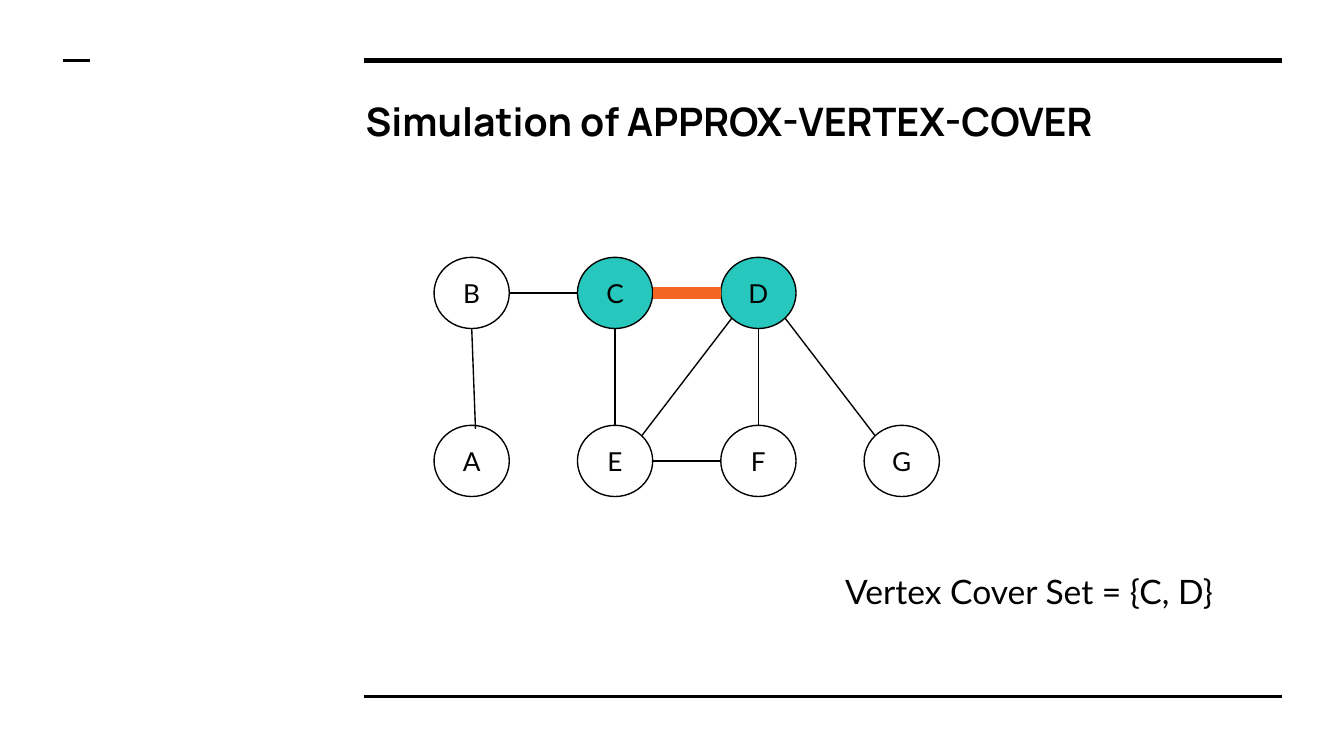
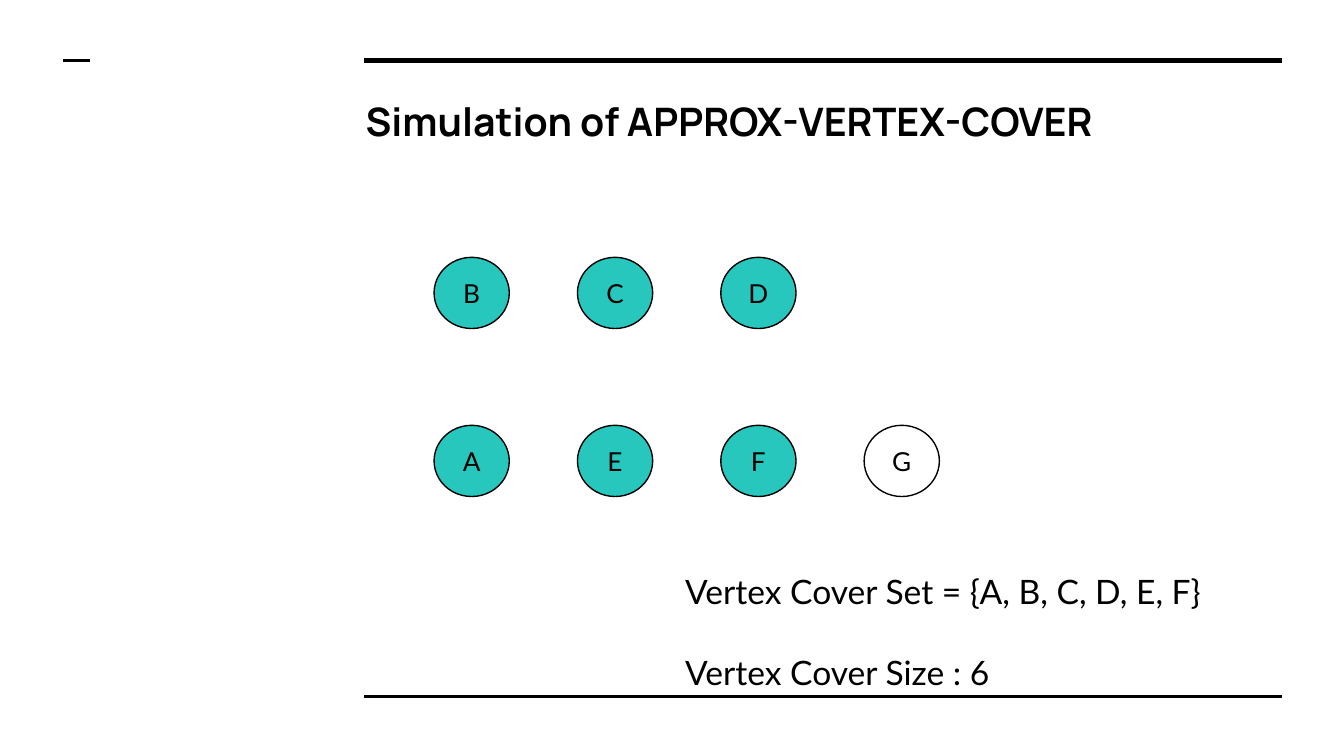
from lxml.etree import SubElement
from pptx import Presentation
from pptx.dml.color import RGBColor
from pptx.enum.shapes import MSO_CONNECTOR, MSO_SHAPE
from pptx.enum.text import MSO_ANCHOR as Anchor, MSO_AUTO_SIZE as AutoSize, PP_ALIGN as Align
from pptx.oxml.ns import qn
from pptx.util import Inches, Pt

BLACK, WHITE, TEAL, ORANGE = "000000", "FFFFFF", "27C7BD", "F46524"
NODE_WIDTH, NODE_HEIGHT = 0.56, 0.53
TITLE = "Simulation of APPROX-VERTEX-COVER"

# Left, top, right, and weight of the rules on every slide
RULES = [(2.71, 0.45, 9.54, 3), (2.71, 5.18, 9.54, 1.5), (0.47, 0.45, 0.67, 1.5)]

# Centre of each node: four columns across 3.2 inches, two rows
CENTRES = {}
for row, letters in enumerate(["BCD", "AEFG"]):
    for column, letter in enumerate(letters):
        CENTRES[letter] = (3.51 + column * 3.2 / 3, 2.18 + row * 1.25)

# Points on a node, in half widths and half heights from its centre
TOP, BOTTOM, LEFT, RIGHT = (0, -1), (0, 1), (-1, 0), (1, 0)
TOP_LEFT, TOP_RIGHT = (-0.71, -0.71), (0.71, -0.71)
BOTTOM_LEFT, BOTTOM_RIGHT = (-0.71, 0.71), (0.71, 0.71)
INSIDE_TOP = (0.1, -0.9)

EDGES = [
    ("A", INSIDE_TOP, "B", BOTTOM, BLACK, 0.75),
    ("C", RIGHT, "D", LEFT, ORANGE, 6),
    ("C", BOTTOM, "E", TOP, BLACK, 0.75),
    ("E", RIGHT, "F", LEFT, BLACK, 0.75),
    ("E", TOP_RIGHT, "D", BOTTOM_LEFT, BLACK, 0.75),
    ("D", BOTTOM_RIGHT, "G", TOP_LEFT, BLACK, 0.75),
    ("F", TOP, "D", BOTTOM, BLACK, 0.75),
    ("B", RIGHT, "C", LEFT, BLACK, 0.75),
]

# Covered nodes, edges, and captions (left, top, width, text) of each slide
STEPS = [
    ("CD", EDGES, [(6.19, 4.15, 3.81, "Vertex Cover Set = {C, D}")]),
    ("ABCDEF", [], [
        (5, 4.75, 3, "Vertex Cover Size : 6"),
        (5, 4.15, 5.14, "Vertex Cover Set = {A, B, C, D, E, F}"),
    ]),
]


def add_line(page, start, end, color, weight):
    points = [Inches(value) for value in (*start, *end)]
    line = page.shapes.add_connector(MSO_CONNECTOR.STRAIGHT, *points)
    line.line.color.rgb = RGBColor.from_string(color)
    line.line.width = Pt(weight)
    SubElement(line._element.spPr, qn("a:effectLst"))


def set_text(shape, text, font, size, anchor=Anchor.TOP, align=Align.LEFT):
    """Write one black paragraph with equal insets and return it."""
    frame = shape.text_frame
    frame.word_wrap = True
    frame.vertical_anchor = anchor
    frame.margin_left = frame.margin_right = Inches(0.1)
    frame.margin_top = frame.margin_bottom = Inches(0.1)
    frame.text = text
    para = frame.paragraphs[0]
    para.alignment = align
    para.font.name = font
    para.font.size = Pt(size)
    para.font.color.rgb = RGBColor.from_string(BLACK)
    return para


deck = Presentation()
deck.slide_width = Inches(10)
deck.slide_height = deck.slide_width * 9 // 16

for covered, edges, captions in STEPS:
    page = deck.slides.add_slide(deck.slide_layouts[5])
    page.background.fill.solid()
    page.background.fill.fore_color.rgb = RGBColor.from_string(WHITE)

    for left, top, right, weight in RULES:
        add_line(page, (left, top), (right, top), BLACK, weight)

    title = page.shapes.title
    title.left, title.top = Inches(2.62), Inches(0.57)
    title.width, title.height = Inches(6.91), Inches(0.69)
    para = set_text(title, TITLE, "Manrope", 21)
    title.text_frame.auto_size = AutoSize.NONE
    para.font.bold = True
    para.line_spacing = 1.15
    para.space_before, para.space_after = Pt(0), Pt(12)

    for letter, (x, y) in CENTRES.items():
        node = page.shapes.add_shape(
            MSO_SHAPE.OVAL, Inches(x - NODE_WIDTH / 2), Inches(y - NODE_HEIGHT / 2),
            Inches(NODE_WIDTH), Inches(NODE_HEIGHT))
        node.shadow.inherit = False
        node.fill.solid()
        node.fill.fore_color.rgb = RGBColor.from_string(TEAL if letter in covered else WHITE)
        node.line.color.rgb = RGBColor.from_string(BLACK)
        node.line.width = Pt(0.75)
        set_text(node, letter, "Lato", 14, Anchor.MIDDLE, Align.CENTER)

    for first, first_side, second, second_side, color, weight in edges:
        start, end = [
            (CENTRES[letter][0] + dx * NODE_WIDTH / 2, CENTRES[letter][1] + dy * NODE_HEIGHT / 2)
            for letter, (dx, dy) in [(first, first_side), (second, second_side)]]
        add_line(page, start, end, color, weight)

    for left, top, width, text in captions:
        box = page.shapes.add_textbox(Inches(left), Inches(top), Inches(width), Inches(0.5))
        set_text(box, text, "Lato", 18)
        box.text_frame.auto_size = AutoSize.SHAPE_TO_FIT_TEXT

deck.save("out.pptx")
